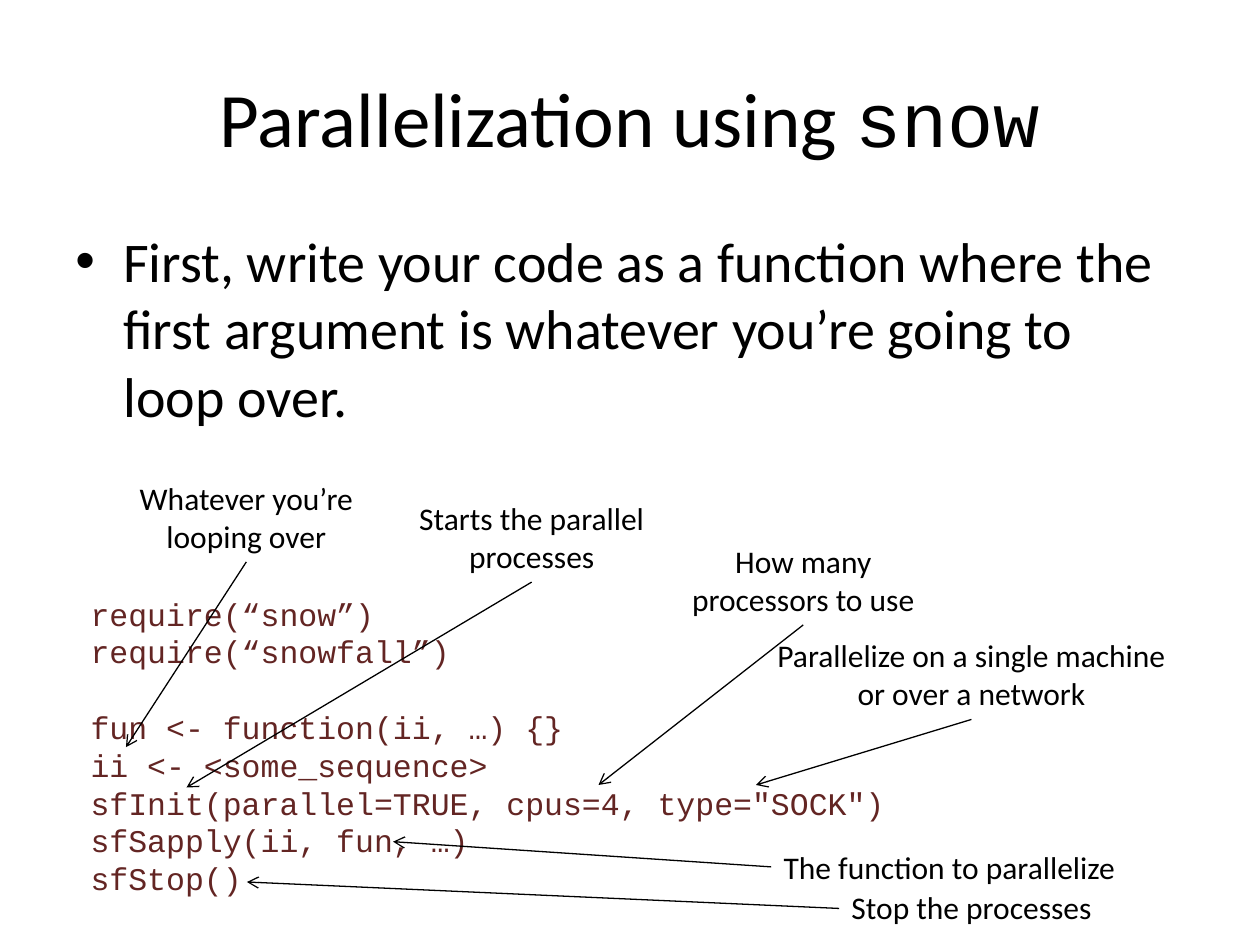
from lxml import etree
from pptx import Presentation
from pptx.dml.color import RGBColor
from pptx.enum.shapes import MSO_CONNECTOR
from pptx.enum.text import MSO_ANCHOR, PP_ALIGN
from pptx.oxml.ns import qn
from pptx.util import Inches, Pt

BLACK = RGBColor(0x00, 0x00, 0x00)
MAROON = RGBColor(0x63, 0x25, 0x23)
SANS = "Calibri"
MONO = "Courier New"
LEFT, CENTER = PP_ALIGN.LEFT, PP_ALIGN.CENTER
TOP, MIDDLE = MSO_ANCHOR.TOP, MSO_ANCHOR.MIDDLE
STRAIGHT = MSO_CONNECTOR.STRAIGHT

CODE_HEAD = ["require(“snow”)", "require(“snowfall”)"]
CODE_BODY = [
    "fun <- function(ii, …) {}",
    "ii <- <some_sequence>",
    'sfInit(parallel=TRUE, cpus=4, type="SOCK")',
    "sfSapply(ii, fun, …)",
    "sfStop()",
]

NOTES = [
    ("Starts the parallel processes", (3.08, 3.91, 2.28, 0.71), CENTER, (1.48, 6.25)),
    ("How many processors to use", (5.25, 4.25, 2.25, 0.71), CENTER, (4.75, 6.23)),
    ("Parallelize on a single machine or over a network", (6, 5, 3.42, 0.71), CENTER, (6, 6.23)),
    ("The function to parallelize", (6.12, 6.68, 3.42, 0.4), LEFT, (3.12, 6.68)),
    ("Stop the processes", (6.66, 7, 2.5, 0.42), LEFT, (1.96, 7)),
    ("Whatever you’re looping over", (0.83, 3.75, 2.25, 0.71), CENTER, (1, 5.93)),
]


def add_run(para, text, size=18, font=SANS, color=BLACK):
    run = para.add_run()
    run.text = text
    run.font.size = Pt(size)
    run.font.name = font
    run.font.color.rgb = color


def add_text(slide, box, lines, align=LEFT, anchor=TOP, **style):
    frame = slide.shapes.add_textbox(*map(Inches, box)).text_frame
    frame.word_wrap = True
    frame.vertical_anchor = anchor
    for i, line in enumerate(lines):
        para = frame.add_paragraph() if i else frame.paragraphs[0]
        para.alignment = align
        add_run(para, line, **style)
    return frame.paragraphs


def add_bullet(para):
    props = para._p.get_or_add_pPr()
    props.set("marL", str(Inches(0.38)))
    props.set("indent", str(Inches(-0.38)))
    etree.SubElement(props, qn("a:buFont")).set("typeface", "Arial")
    etree.SubElement(props, qn("a:buChar")).set("char", "•")


def add_arrow(slide, start, end):
    arrow = slide.shapes.add_connector(STRAIGHT, *map(Inches, start + end))
    arrow.line.color.rgb = BLACK
    arrow.line.width = Pt(0.75)
    line = arrow.line._get_or_add_ln()
    etree.SubElement(line, qn("a:tailEnd")).set("type", "arrow")
    etree.SubElement(arrow._element.spPr, qn("a:effectLst"))


def add_note(slide, text, box, align, end):
    add_text(slide, box, [text], align=align)
    left, top, width, height = box
    if align == CENTER:
        start = (left + width / 2, top + height)
    else:
        start = (left, top + height / 2)
    add_arrow(slide, start, end)


def main():
    deck = Presentation()
    deck.slide_width, deck.slide_height = Inches(10), Inches(7.5)
    slide = deck.slides.add_slide(deck.slide_layouts[6])

    title = add_text(slide, (0.5, 0.3, 9, 1.25), ["Parallelization using "],
                     align=CENTER, anchor=MIDDLE, size=44)
    add_run(title[0], "snow", size=44, font=MONO)

    body = add_text(slide, (0.5, 1.75, 9, 1.75), [
        "First, write your code as a function where the first argument "
        "is whatever you’re going to loop over."], size=32)
    body[0].space_before = Pt(6.4)
    add_bullet(body[0])

    code = add_text(slide, (0.62, 4.67, 6.75, 2.52), CODE_HEAD + CODE_BODY,
                    font=MONO, color=MAROON)
    code[len(CODE_HEAD)].space_before = Pt(21.6)

    for note in NOTES:
        add_note(slide, *note)
    deck.save("out.pptx")


main()
